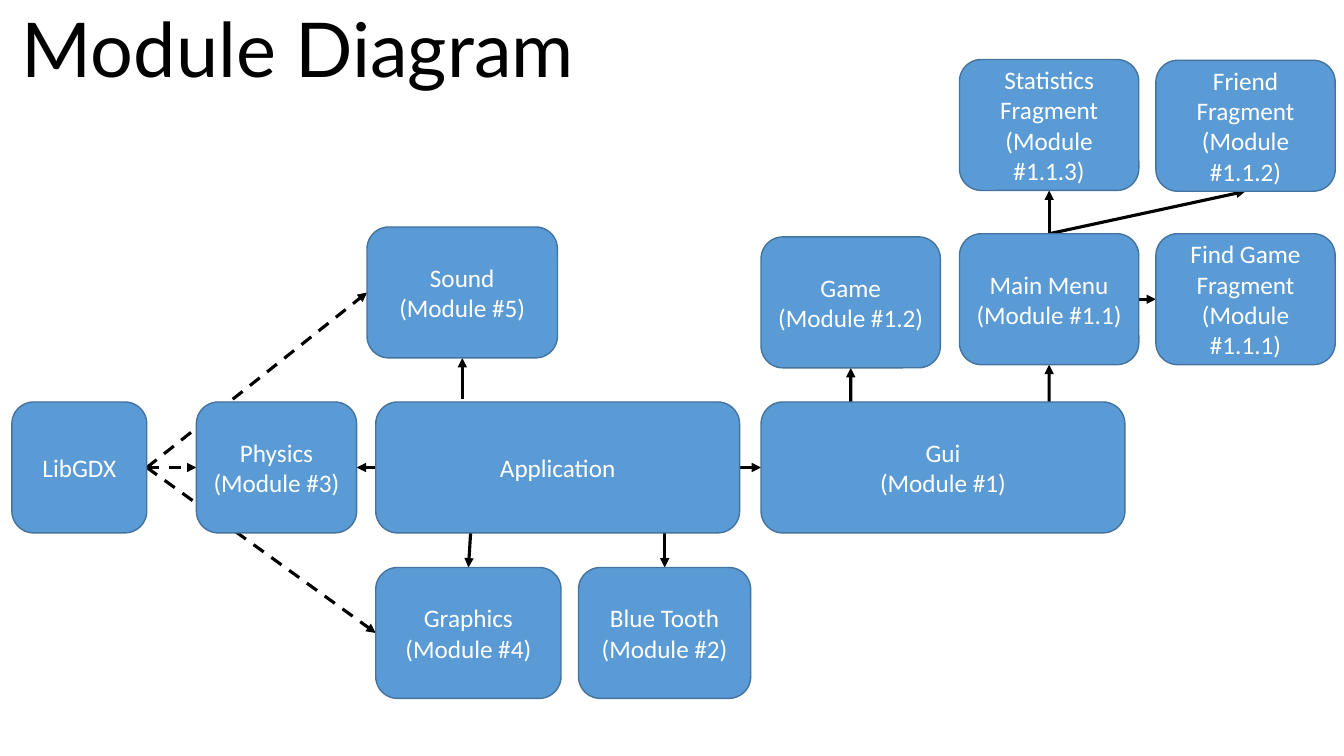
from lxml.etree import SubElement
from pptx import Presentation
from pptx.dml.color import RGBColor
from pptx.enum.dml import MSO_LINE
from pptx.enum.shapes import MSO_CONNECTOR as CONNECTOR, MSO_SHAPE as SHAPE
from pptx.enum.text import MSO_ANCHOR as ANCHOR, MSO_AUTO_SIZE as AUTO_SIZE, PP_ALIGN as ALIGN
from pptx.oxml.ns import qn
from pptx.util import Cm, Pt

TITLE = "Module Diagram"
BOX_HEIGHT = 3.3
MIDDLE, LOWER, MENU = 10.13, 14.3, 5.89  # tops of the shared rows, cm
FRAGMENT_WIDTH = 4.52

# Name: (module number, left, top, width), in cm
MODULES = {
    "Application": ("", 9.47, MIDDLE, 9.17),
    "Main Menu": ("1.1", 24.18, MENU, FRAGMENT_WIDTH),
    "Blue Tooth": ("2", 14.58, LOWER, 4.34),
    "LibGDX": ("", 0.3, MIDDLE, 3.4),
    "Gui": ("1", 19.18, MIDDLE, 9.17),
    "Game": ("1.2", 19.18, 5.97, FRAGMENT_WIDTH),
    "Sound": ("5", 9.25, 5.72, 4.8),
    "Graphics": ("4", 9.47, LOWER, 4.67),
    "Physics": ("3", 4.95, MIDDLE, 4.04),
    "Find Game Fragment": ("1.1.1", 29.13, MENU, FRAGMENT_WIDTH),
    "Friend Fragment": ("1.1.2", 29.13, 1.52, FRAGMENT_WIDTH),
    "Statistics Fragment": ("1.1.3", 24.18, 1.5, FRAGMENT_WIDTH),
}

# Connection sites of a box
TOP, LEFT, BOTTOM, RIGHT = range(4)

# (source box, site) or a free point in cm, (target box, site), dashed
ARROWS = [
    ((21.44, 10.21), ("Game", BOTTOM), False),
    ((26.44, MIDDLE), ("Main Menu", BOTTOM), False),
    (("Application", RIGHT), ("Gui", LEFT), False),
    ((16.75, MIDDLE + BOX_HEIGHT), ("Blue Tooth", TOP), False),
    (("Application", LEFT), ("Physics", RIGHT), False),
    ((11.65, 10.06), ("Sound", BOTTOM), False),
    ((11.86, MIDDLE + BOX_HEIGHT), ("Graphics", TOP), False),
    (("LibGDX", RIGHT), ("Physics", LEFT), True),
    (("LibGDX", RIGHT), ("Sound", LEFT), True),
    (("LibGDX", RIGHT), ("Graphics", LEFT), True),
    (("Main Menu", RIGHT), ("Find Game Fragment", LEFT), False),
    (("Main Menu", TOP), ("Friend Fragment", BOTTOM), False),
    (("Main Menu", TOP), ("Statistics Fragment", BOTTOM), False),
]


def color(hex_code):
    return RGBColor.from_string(hex_code)


def add_run(paragraph, text, font_name, size, hex_code):
    run = paragraph.add_run()
    run.text = text
    run.font.name = font_name
    run.font.size = Pt(size)
    run.font.color.rgb = color(hex_code)


def add_arrow(slide, start, dashed):
    x, y = (0, 0) if isinstance(start[0], str) else start
    arrow = slide.shapes.add_connector(CONNECTOR.STRAIGHT, Cm(x), Cm(y), Cm(x), Cm(y))
    arrow.line.color.rgb = color("000000")
    arrow.line.width = Pt(2.25)
    if dashed:
        arrow.line.dash_style = MSO_LINE.DASH
    SubElement(arrow.line._get_or_add_ln(), qn("a:tailEnd"), type="triangle")
    SubElement(arrow._element.spPr, qn("a:effectLst"))
    return arrow


def add_module(slide, name, number, left, top, width):
    box = slide.shapes.add_shape(
        SHAPE.ROUNDED_RECTANGLE, Cm(left), Cm(top), Cm(width), Cm(BOX_HEIGHT))
    box.shadow.inherit = False
    box.fill.solid()
    box.fill.fore_color.rgb = color("5B9BD5")
    box.line.color.rgb = color("43739E")
    box.line.width = Pt(1)
    frame = box.text_frame
    frame.word_wrap = True
    frame.vertical_anchor = ANCHOR.MIDDLE
    lines = [name, f"(Module #{number})"] if number else [name]
    for i, line in enumerate(lines):
        paragraph = frame.add_paragraph() if i else frame.paragraphs[0]
        paragraph.alignment = ALIGN.CENTER
        add_run(paragraph, line, "Calibri", 18, "FFFFFF")
    return box


def main():
    deck = Presentation()
    deck.slide_width, deck.slide_height = Cm(33.87), Cm(19.05)
    slide = deck.slides.add_slide(deck.slide_layouts[5])

    # Title
    title = slide.shapes.title
    title.left, title.top, title.width, title.height = Cm(0.3), Cm(-0.08), Cm(21), Cm(2.57)
    title.text_frame.word_wrap = True
    title.text_frame.auto_size = AUTO_SIZE.SHAPE_TO_FIT_TEXT
    title.text_frame.vertical_anchor = ANCHOR.TOP
    heading = title.text_frame.paragraphs[0]
    heading.alignment = ALIGN.LEFT
    add_run(heading, TITLE, "Lato", 54, "000000")

    # Arrows lie behind the boxes, so that Physics covers the dashed ones
    arrows = [add_arrow(slide, start, dashed) for start, _, dashed in ARROWS]
    boxes = {name: add_module(slide, name, *place) for name, place in MODULES.items()}

    # Attach the arrows to the boxes
    for arrow, (start, (target, site), _) in zip(arrows, ARROWS):
        if isinstance(start[0], str):
            arrow.begin_connect(boxes[start[0]], start[1])
        arrow.end_connect(boxes[target], site)

    deck.save("out.pptx")


if __name__ == "__main__":
    main()
